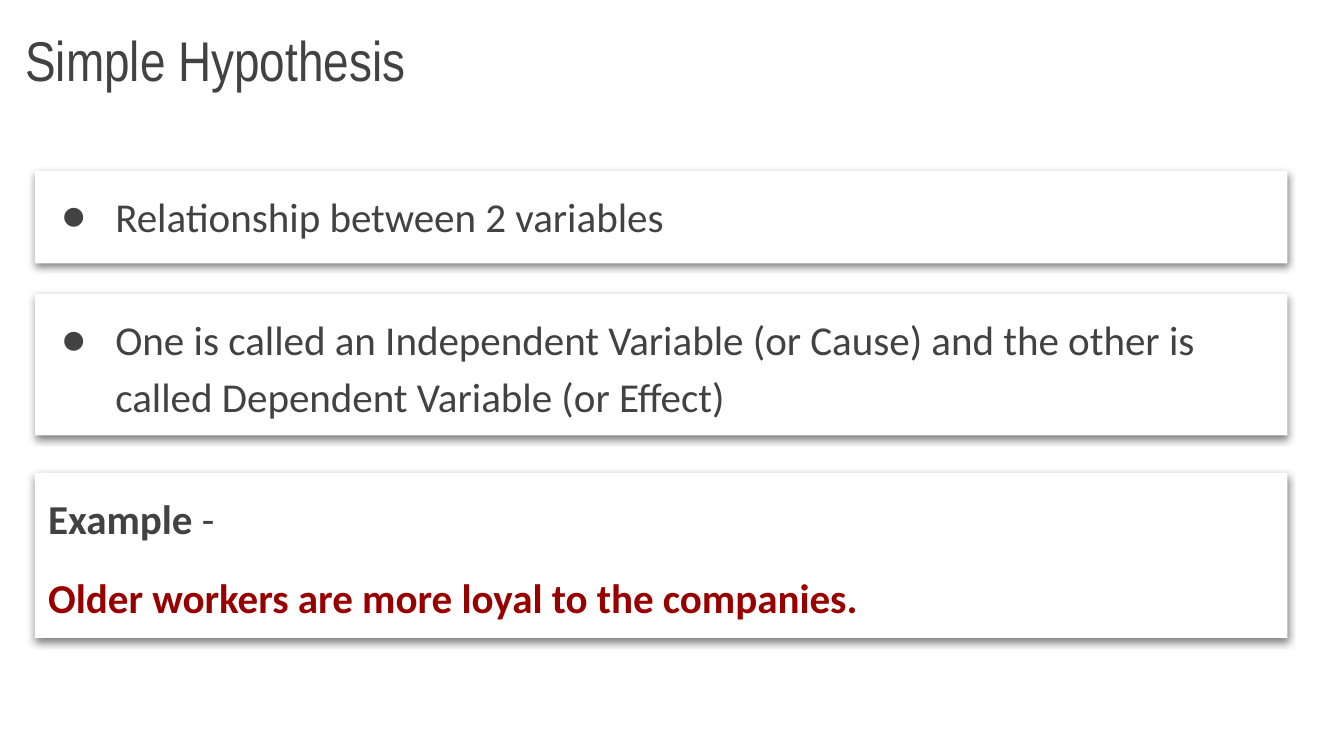
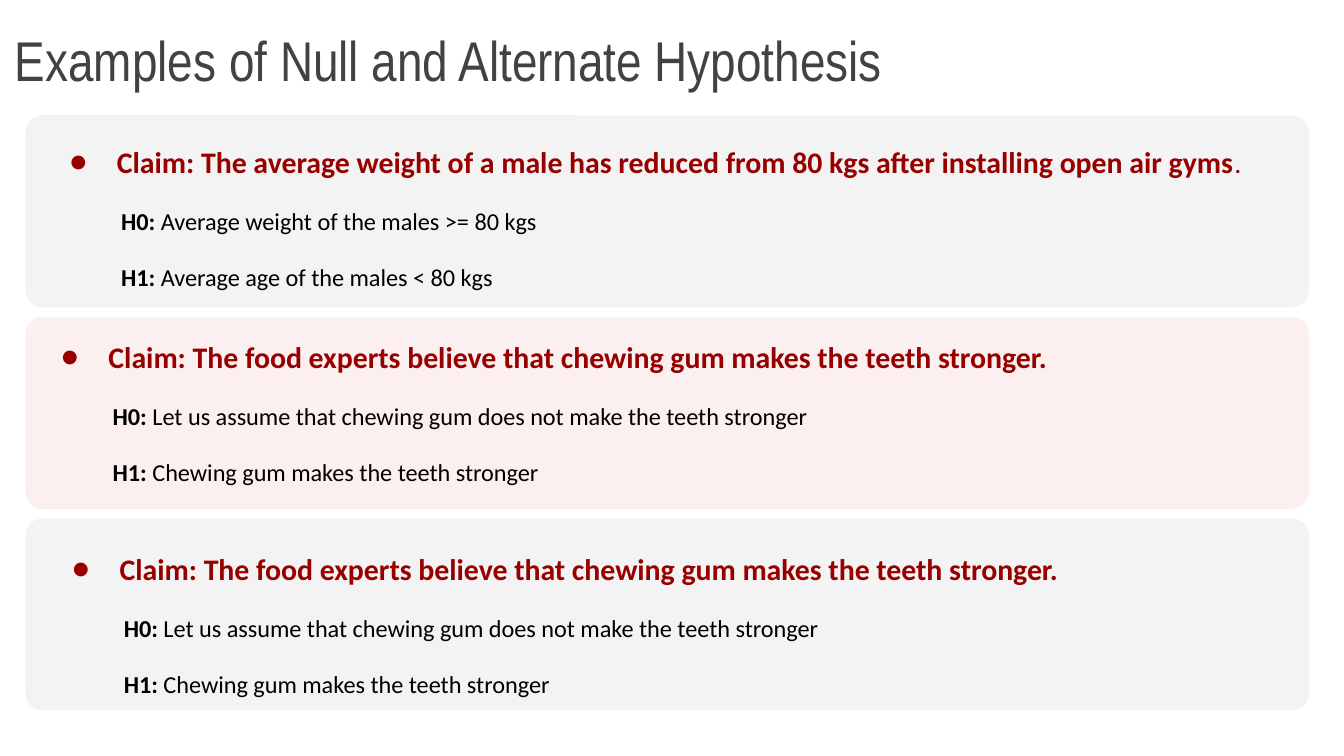
from dataclasses import dataclass

from lxml import etree
from pptx import Presentation
from pptx import util as u
from pptx.dml.color import RGBColor
from pptx.enum import shapes, text
from pptx.oxml import ns

Cm, Pt = u.Cm, u.Pt

# Shared look
GREY, RED, BLACK, WHITE = "424242", "980000", "000000", "FFFFFF"
PALE_GREY, PINK = "F3F3F3", "F4CCCC"
TITLE_FONT, BODY_FONT = "Arial Narrow", "Calibri"
COMPARISON_LAYOUT = 4  # a title and four text placeholders
TEXT_INDENT = 1.27


@dataclass
class Span:
    text: str
    bold: bool = False
    size: float | None = None


@dataclass
class Para:
    spans: list[Span]
    size: float
    color: str
    hanging: float = 0  # a bullet is set when above zero
    left: float = 0
    before: float = 0
    after: float = 0


@dataclass
class Box:
    left: float
    top: float
    width: float
    height: float


def rgb(value: str) -> RGBColor:
    return RGBColor.from_string(value)


def add_xml(parent, tag: str, **attrs):
    return etree.SubElement(parent, ns.qn(tag), attrs)


def set_fill(sp, color: str, alpha: int = 100) -> None:
    sp.fill.solid()
    sp.fill.fore_color.rgb = rgb(color)
    if alpha < 100:
        clr = sp.element.spPr.find(".//" + ns.qn("a:srgbClr"))
        add_xml(clr, "a:alpha", val=str(alpha * 1000))


def add_shadow(sp) -> None:
    effects = add_xml(sp.element.spPr, "a:effectLst")
    shadow = add_xml(effects, "a:outerShdw", blurRad=str(Pt(4.5)), dist=str(Pt(1.5)),
                     dir="5400000", algn="bl", rotWithShape="0")
    add_xml(add_xml(shadow, "a:srgbClr", val=BLACK), "a:alpha", val="50000")


def place(sp, box: Box, anchor):
    """Move a placeholder and return its text frame with even insets."""
    sp.left, sp.top = Cm(box.left), Cm(box.top)
    sp.width, sp.height = Cm(box.width), Cm(box.height)
    tf = sp.text_frame
    tf.word_wrap = True
    tf.auto_size = text.MSO_AUTO_SIZE.NONE
    tf.vertical_anchor = anchor
    tf.margin_left = tf.margin_right = tf.margin_top = tf.margin_bottom = Cm(0.25)
    return tf


def set_font(font, name: str, size: float, color: str) -> None:
    font.name, font.size = name, Pt(size)
    font.color.rgb = rgb(color)


def set_bullet(p, para: Para) -> None:
    pPr = p._p.get_or_add_pPr()
    pPr.set("marL", str(Cm(para.left)))
    pPr.set("indent", str(-Cm(para.hanging)))
    if para.hanging:
        add_xml(add_xml(pPr, "a:buClr"), "a:srgbClr", val=para.color)
        add_xml(pPr, "a:buFont", typeface=BODY_FONT)
        add_xml(pPr, "a:buChar", char="●")
    else:
        add_xml(pPr, "a:buNone")


def fill_body(sp, box: Box, paras: list[Para]) -> None:
    tf = place(sp, box, text.MSO_ANCHOR.TOP)
    for i, para in enumerate(paras):
        p = tf.add_paragraph() if i else tf.paragraphs[0]
        p.alignment = text.PP_ALIGN.LEFT
        p.line_spacing = 1.15
        p.space_before, p.space_after = Pt(para.before), Pt(para.after)
        set_bullet(p, para)
        set_font(p.font, BODY_FONT, para.size, para.color)
        for span in para.spans:
            r = p.add_run()
            r.text = span.text
            r.font.bold = span.bold
            if span.size:
                r.font.size = Pt(span.size)


def add_slide(prs, title: str, left: float):
    """Add a titled slide; return it with its body placeholders."""
    slide = prs.slides.add_slide(prs.slide_layouts[COMPARISON_LAYOUT])
    tf = place(slide.shapes.title, Box(left, -0.03, 23.67, 2.03), text.MSO_ANCHOR.BOTTOM)
    p = tf.paragraphs[0]
    p.alignment = text.PP_ALIGN.LEFT
    set_font(p.font, TITLE_FONT, 30, GREY)
    p.add_run().text = title
    *bodies, spare = list(slide.placeholders)[1:]
    spare.element.getparent().remove(spare.element)
    return slide, bodies


def simple_hypothesis(prs) -> None:
    _, bodies = add_slide(prs, "Simple Hypothesis", 0.23)

    def point(words: str) -> Para:
        return Para([Span(words)], 22, GREY, hanging=1.02, left=TEXT_INDENT)

    panels = [
        (3.23, 1.75, [point("Relationship between 2 variables")]),
        (5.56, 2.67, [point("One is called an Independent Variable (or Cause) and the "
                            "other is called Dependent Variable (or Effect)")]),
        (8.94, 3.12, [
            Para([Span("Example", True), Span(" -")], 22, GREY),
            Para([Span("Older workers are more loyal to the companies.", True)],
                 22, RED, before=12, after=12),
        ]),
    ]
    for sp, (top, height, paras) in zip(bodies, panels):
        fill_body(sp, Box(0.66, top, 23.67, height), paras)
        set_fill(sp, WHITE)
        add_shadow(sp)


def add_card(slide, top: float, color: str, alpha: int) -> None:
    sp = slide.shapes.add_shape(shapes.MSO_SHAPE.ROUNDED_RECTANGLE,
                                Cm(0.48), Cm(top), Cm(24.26), Cm(3.63))
    sp.adjustments[0] = 0.09
    sp.shadow.inherit = False
    set_fill(sp, color, alpha)
    sp.line.fill.background()
    slide.shapes.element.insert(2, sp.element)  # behind the text


def claim_paras(claim: list[Span], null: str, alternate: str) -> list[Para]:
    def hypothesis(label: str, words: str, after: float = 0) -> Para:
        return Para([Span(label, True), Span(" " + words)], 13, BLACK,
                    left=1.35, before=12, after=after)

    return [Para(claim, 16, RED, hanging=0.9, left=TEXT_INDENT),
            hypothesis("H0:", null), hypothesis("H1:", alternate, after=12)]


def null_and_alternate(prs) -> None:
    slide, bodies = add_slide(prs, "Examples of Null and Alternate Hypothesis", 0.03)

    # Cards at an equal pitch
    for i, (color, alpha) in enumerate([(PALE_GREY, 100), (PINK, 30), (PALE_GREY, 100)]):
        add_card(slide, 2.18 + 3.81 * i, color, alpha)

    # Claims with their hypotheses
    weight = claim_paras(
        [Span("Claim: The average weight of a male has reduced from 80 kgs "
              "after installing open air gyms", True), Span(".", size=15)],
        "Average weight of the males >= 80 kgs", "Average age of the males < 80 kgs")
    gum = claim_paras(
        [Span("Claim: The food experts believe that chewing gum makes the teeth stronger.",
              True)],
        "Let us assume that chewing gum does not make the teeth stronger",
        "Chewing gum makes the teeth stronger")
    boxes = [Box(0.69, 2.36, 23.67, 3.3), Box(0.53, 6.05, 22.53, 3.3),
             Box(0.74, 10.06, 22.53, 3.3)]
    for sp, box, paras in zip(bodies, boxes, [weight, gum, gum]):
        fill_body(sp, box, paras)


def main() -> None:
    prs = Presentation()
    prs.slide_width, prs.slide_height = Cm(25.4), Cm(14.29)
    simple_hypothesis(prs)
    null_and_alternate(prs)
    prs.save("out.pptx")


if __name__ == "__main__":
    main()
